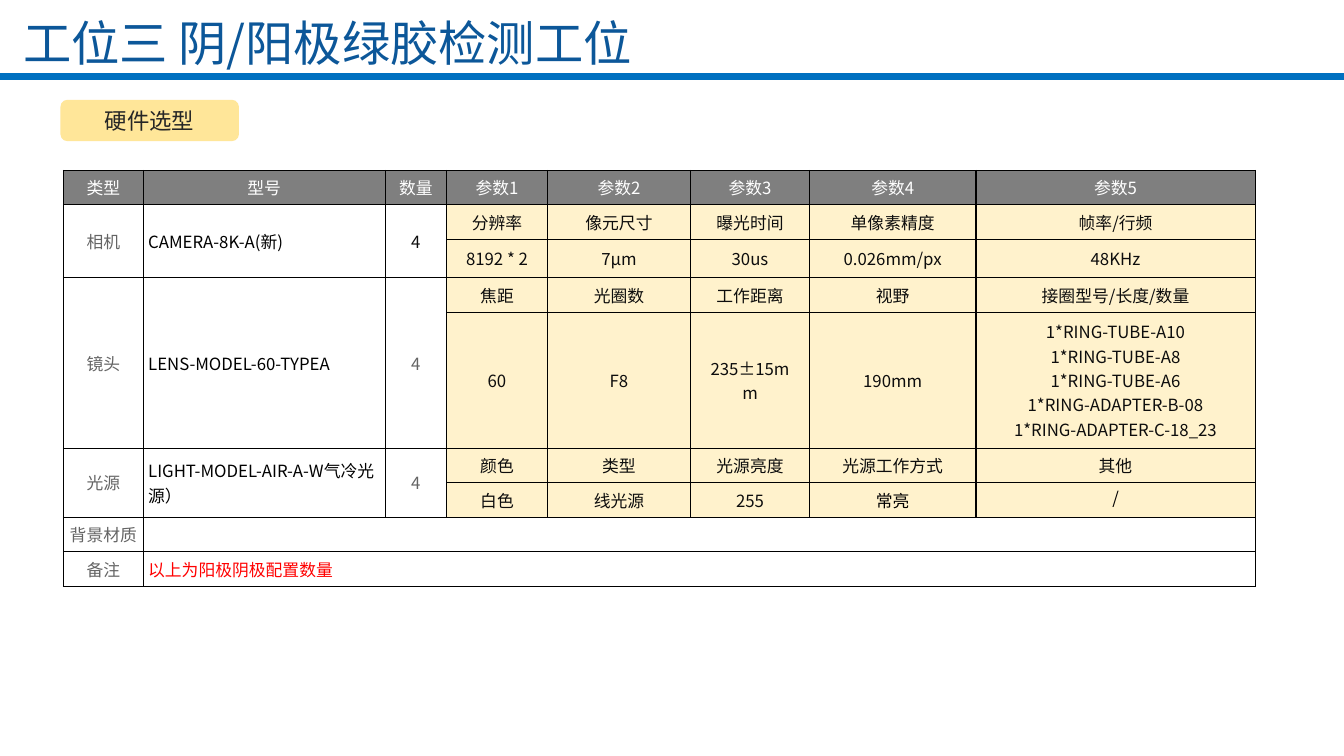
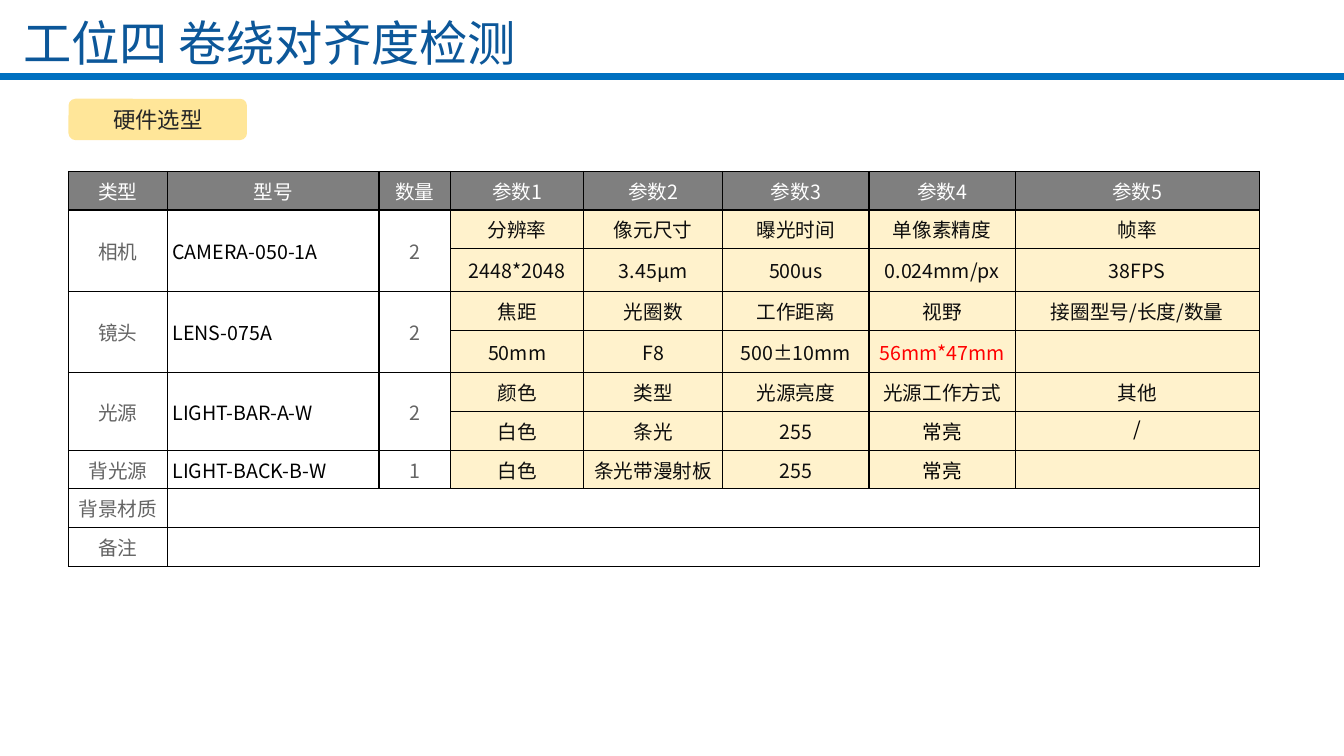
from dataclasses import dataclass, field

from lxml import etree
from pptx import Presentation
from pptx.dml.color import RGBColor
from pptx.enum import shapes, text
from pptx.oxml import ns
from pptx.util import Inches, Pt

FONT = "Noto Sans CJK SC"
TITLE_BLUE, BAND_BLUE, BADGE = "0C5799", "0070C0", "FFE699"
HEADER_FILL, PARAM_FILL, WHITE = "7F7F7F", "FFF2CC", "FFFFFF"
LABEL_GREY, PARAM_INK, BADGE_INK = "646464", "0D0D0D", "262626"
BLACK, RED = "000000", "FF0000"
HEADERS = ("类型", "型号", "数量", *(f"参数{n}" for n in range(1, 6)))
FIRST_PARAM = 3
NARROW_PARAM = 6
SPACIOUS_ROWS = (2, 4)
BLACK_WORDS = ("常亮", "/")
LENS_PARAMS = ("焦距", "光圈数", "工作距离", "视野", "接圈型号/长度/数量")
LIGHT_PARAMS = ("颜色", "类型", "光源亮度", "光源工作方式", "其他")


@dataclass(frozen=True)
class Station:
    title: str
    badge_at: tuple[float, float]
    table_at: tuple[float, float]
    widths: tuple[float, ...]
    row_height: float
    size: float
    rows: tuple[tuple[str, ...], ...]
    accents: dict[tuple[int, int], str] = field(default_factory=dict)


STATIONS = (
    Station(
        "工位三 阴/阳极绿胶检测工位", (0.6, 0.99), (0.63, 1.69),
        (0.79, 2.4, 0.61, 1, 1.42, 1.18, 1.65, 2.77), 0.34, 12,
        (
            HEADERS,
            ("相机", "CAMERA-8K-A(新)", "4",
             "分辨率", "像元尺寸", "曝光时间", "单像素精度", "帧率/行频"),
            ("8192 * 2", "7μm", "30us", "0.026mm/px", "48KHz"),
            ("镜头", "LENS-MODEL-60-TYPEA", "4", *LENS_PARAMS),
            ("60", "F8", "235±15mm", "190mm",
             "1*RING-TUBE-A10\n1*RING-TUBE-A8\n1*RING-TUBE-A6\n"
             "1*RING-ADAPTER-B-08\n1*RING-ADAPTER-C-18_23"),
            ("光源", "LIGHT-MODEL-AIR-A-W气冷光源）", "4", *LIGHT_PARAMS),
            ("白色", "线光源", "255", "常亮", "/"),
            ("背景材质", ""),
            ("备注", "以上为阳极阴极配置数量"),
        ),
        {(1, 2): PARAM_INK, (8, 1): RED},
    ),
    Station(
        "工位四 卷绕对齐度检测", (0.68, 0.98), (0.68, 1.7),
        (0.98, 2.1, 0.71, 1.32, 1.38, 1.45, 1.45, 2.42), 0.38, 14,
        (
            HEADERS,
            ("相机", "CAMERA-050-1A", "2",
             "分辨率", "像元尺寸", "曝光时间", "单像素精度", "帧率"),
            ("2448*2048", "3.45μm", "500us", "0.024mm/px", "38FPS"),
            ("镜头", "LENS-075A", "2", *LENS_PARAMS),
            ("50mm", "F8", "500±10mm", "56mm*47mm", ""),
            ("光源", "LIGHT-BAR-A-W", "2", *LIGHT_PARAMS),
            ("白色", "条光", "255", "常亮", "/"),
            ("背光源", "LIGHT-BACK-B-W", "1", "白色", "条光带漫射板", "255", "常亮", ""),
            ("背景材质", ""),
            ("备注", ""),
        ),
        {(4, 6): RED},
    ),
)


def color(value: str) -> RGBColor:
    return RGBColor.from_string(value)


def add_run(paragraph, words: str, size: float, ink: str) -> None:
    run = paragraph.add_run()
    run.text = words
    run.font.size = Pt(size)
    run.font.name = FONT
    run.font.color.rgb = color(ink)
    east_asian = etree.SubElement(run.font._element, ns.qn("a:ea"))
    east_asian.set("typeface", FONT)


def add_title(slide, words: str) -> None:
    title = slide.shapes.title
    title.left, title.top = Inches(0.13), Inches(0.13)
    title.width, title.height = Inches(12), Inches(0.58)
    frame = title.text_frame
    frame.auto_size = text.MSO_AUTO_SIZE.NONE
    frame.vertical_anchor = text.MSO_ANCHOR.MIDDLE
    frame.paragraphs[0].alignment = text.PP_ALIGN.LEFT
    add_run(frame.paragraphs[0], words, 34.5, TITLE_BLUE)


def add_band(slide) -> None:
    band = slide.shapes.add_connector(
        shapes.MSO_CONNECTOR.STRAIGHT,
        Inches(-0.02), Inches(0.76), Inches(13.33), Inches(0.76))
    band.line.color.rgb = color(BAND_BLUE)
    band.line.width = Pt(4.75)
    etree.SubElement(band._element.spPr, ns.qn("a:effectLst"))


def add_badge(slide, at: tuple[float, float]) -> None:
    badge = slide.shapes.add_shape(
        shapes.MSO_SHAPE.ROUNDED_RECTANGLE,
        Inches(at[0]), Inches(at[1]), Inches(1.77), Inches(0.41))
    badge.shadow.inherit = False
    badge.fill.solid()
    badge.fill.fore_color.rgb = color(BADGE)
    badge.line.fill.background()
    badge.text_frame.vertical_anchor = text.MSO_ANCHOR.MIDDLE
    paragraph = badge.text_frame.paragraphs[0]
    paragraph.alignment = text.PP_ALIGN.CENTER
    add_run(paragraph, "硬件选型", 16, BADGE_INK)


def add_borders(cell) -> None:
    properties = cell._tc.get_or_add_tcPr()
    for side in ("lnL", "lnR", "lnT", "lnB"):
        edge = etree.SubElement(properties, ns.qn(f"a:{side}"), w=str(Pt(1)))
        fill = etree.SubElement(edge, ns.qn("a:solidFill"))
        etree.SubElement(fill, ns.qn("a:srgbClr"), val=BLACK)


def cell_look(row: int, column: int, is_note: bool) -> tuple[str, str]:
    if row == 0:
        return HEADER_FILL, WHITE
    if column >= FIRST_PARAM and not is_note:
        return PARAM_FILL, PARAM_INK
    return WHITE, BLACK if column == 1 else LABEL_GREY


def cell_insets(row: int, column: int, words: str) -> tuple[float, float, float]:
    if words == "/":
        return 0.02, 0.02, 0.07
    if row in SPACIOUS_ROWS and column >= FIRST_PARAM and column != NARROW_PARAM:
        return 0.13, 0.07, 0.07
    return 0.05 if column else 0, 0.05, 0.05


def fill_cell(cell, station: Station, row: int, column: int, words: str) -> None:
    ink = cell_look(row, column, False)[1]
    if words in BLACK_WORDS:
        ink = BLACK
    ink = station.accents.get((row, column), ink)
    side, top, bottom = cell_insets(row, column, words)
    cell.margin_left = cell.margin_right = Inches(side)
    cell.margin_top, cell.margin_bottom = Inches(top), Inches(bottom)
    cell.vertical_anchor = text.MSO_ANCHOR.MIDDLE
    left_aligned = column == 1 and row > 0
    for index, line in enumerate(words.split("\n")):
        frame = cell.text_frame
        paragraph = frame.add_paragraph() if index else frame.paragraphs[0]
        paragraph.alignment = (
            text.PP_ALIGN.LEFT if left_aligned else text.PP_ALIGN.CENTER)
        if line:
            add_run(paragraph, line, station.size, ink)
        else:
            etree.SubElement(paragraph._p, ns.qn("a:endParaRPr"),
                             sz=str(int(station.size * 100)))


def add_hardware_table(slide, station: Station) -> None:
    left, top = station.table_at
    table = slide.shapes.add_table(
        len(station.rows), len(HEADERS), Inches(left), Inches(top),
        Inches(sum(station.widths)),
        Inches(station.row_height * len(station.rows))).table
    table.first_row = table.horz_banding = False
    for column, width in zip(table.columns, station.widths):
        column.width = Inches(width)
    for row, entries in enumerate(station.rows):
        table.rows[row].height = Inches(station.row_height)
        is_note = len(entries) == 2
        for column in range(len(HEADERS)):
            cell = table.cell(row, column)
            add_borders(cell)
            cell.fill.solid()
            cell.fill.fore_color.rgb = color(cell_look(row, column, is_note)[0])
        is_values = len(entries) == len(HEADERS) - FIRST_PARAM
        for column, words in enumerate(entries, FIRST_PARAM if is_values else 0):
            fill_cell(table.cell(row, column), station, row, column, words)
        if is_values:
            for column in range(FIRST_PARAM):
                table.cell(row - 1, column).merge(table.cell(row, column))
        if is_note:
            table.cell(row, 1).merge(table.cell(row, len(HEADERS) - 1))


def main() -> None:
    deck = Presentation()
    deck.slide_width, deck.slide_height = Inches(13.33), Inches(7.5)
    title_only = deck.slide_layouts[5]
    for station in STATIONS:
        slide = deck.slides.add_slide(title_only)
        add_band(slide)
        add_hardware_table(slide, station)
        add_badge(slide, station.badge_at)
        add_title(slide, station.title)
    deck.save("out.pptx")


if __name__ == "__main__":
    main()
